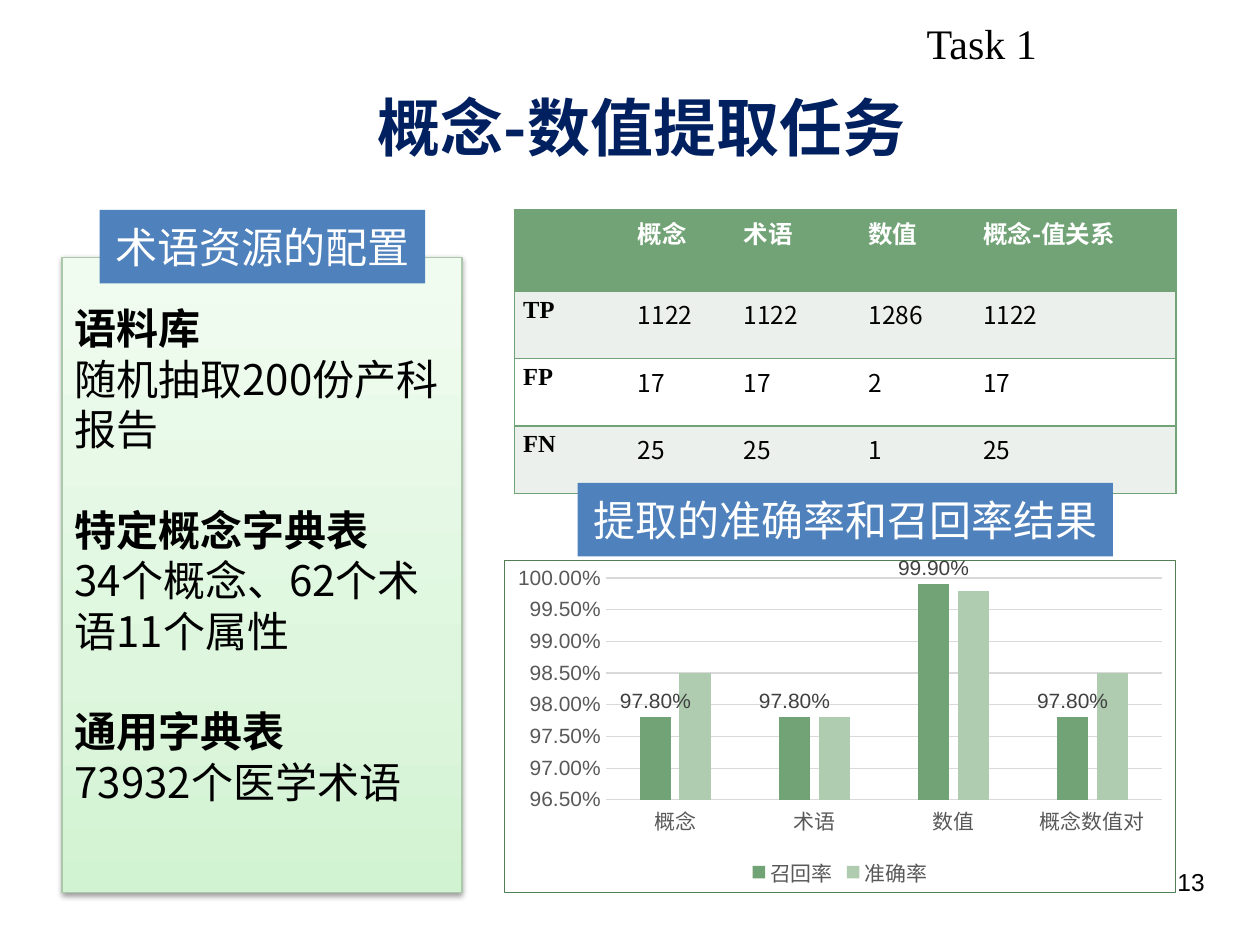
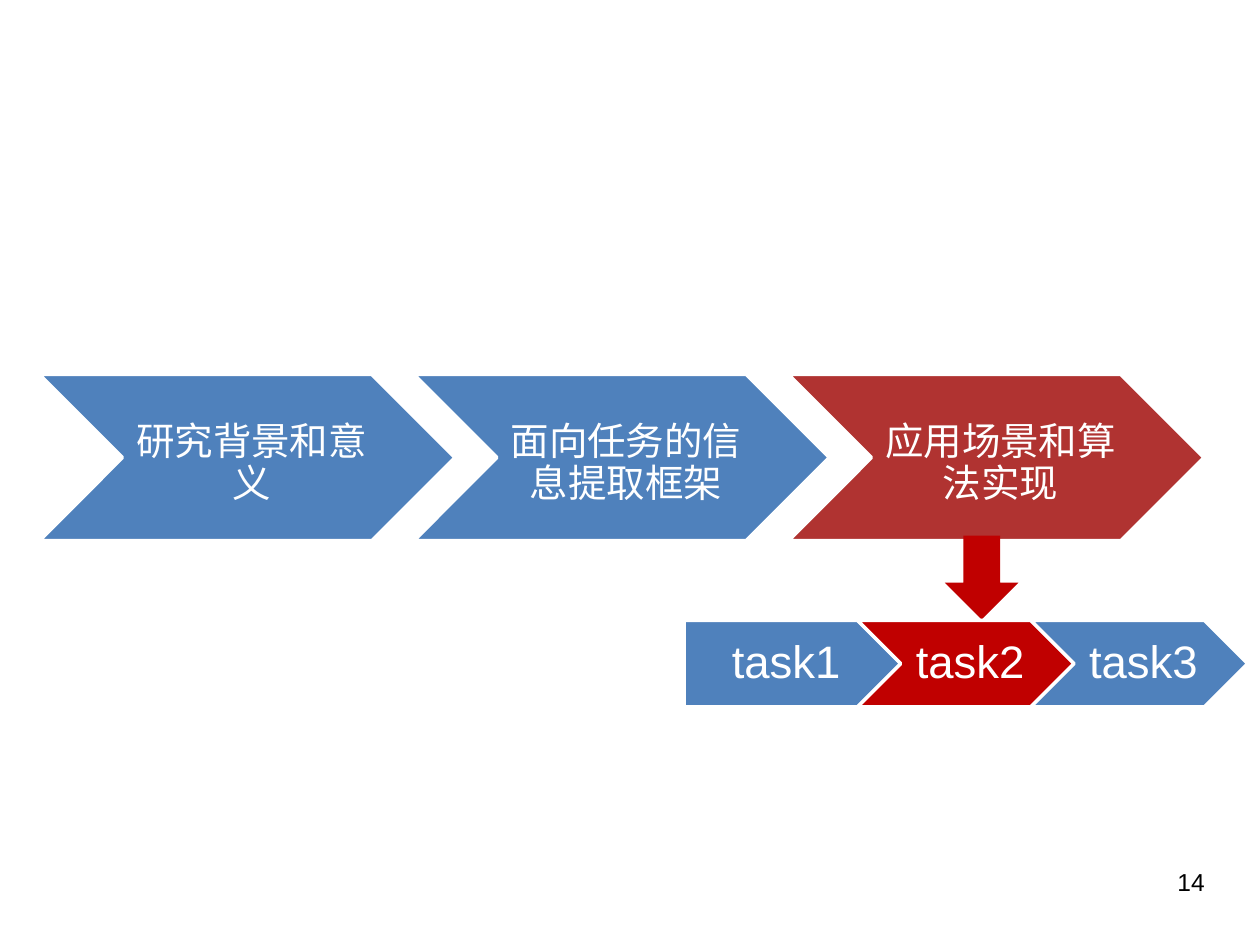
from copy import deepcopy
from dataclasses import dataclass
from typing import NamedTuple

from lxml import etree
from pptx import Presentation
from pptx.chart.data import CategoryChartData
from pptx.dml.color import RGBColor
from pptx.enum.chart import XL_CHART_TYPE, XL_LABEL_POSITION, XL_LEGEND_POSITION, XL_TICK_MARK
from pptx.enum.shapes import MSO_SHAPE
from pptx.enum.text import MSO_ANCHOR, PP_ALIGN
from pptx.oxml.ns import qn
from pptx.util import Pt

CHEVRON, HOME_PLATE = MSO_SHAPE.CHEVRON, MSO_SHAPE.PENTAGON
RECTANGLE, DOWN_ARROW = MSO_SHAPE.RECTANGLE, MSO_SHAPE.DOWN_ARROW
LEFT, CENTER, RIGHT = PP_ALIGN.LEFT, PP_ALIGN.CENTER, PP_ALIGN.RIGHT
TOP, MIDDLE = MSO_ANCHOR.TOP, MSO_ANCHOR.MIDDLE
CLUSTERED = XL_CHART_TYPE.COLUMN_CLUSTERED
LEGEND_BOTTOM = XL_LEGEND_POSITION.BOTTOM
LABEL_ABOVE = XL_LABEL_POSITION.OUTSIDE_END
NO_TICK = XL_TICK_MARK.NONE
TITLE_ONLY, BLANK = 5, 6


@dataclass(frozen=True)
class Theme:
    cjk: str = "Noto Sans CJK SC"
    sans: str = "Arial"
    serif: str = "Times New Roman"
    title: str = "002060"
    black: str = "000000"
    white: str = "FFFFFF"
    blue: str = "4F81BC"
    brick: str = "B03331"
    red: str = "C00000"
    green: str = "72A376"
    light_green: str = "B0CCB0"
    band: str = "EBF0EC"
    chart_border: str = "527E56"
    panel_line: str = "ABC8AB"
    panel_stops: tuple = ((0, "D1F3D1"), (0.35, "DEF6DE"), (1, "F1FCF1"))
    grid: str = "D9D9D9"
    axis_text: str = "595959"
    label_text: str = "404040"
    title_size: int = 36
    task_size: int = 26
    body_size: int = 24
    step_size: int = 22
    small_size: int = 14
    chart_size: int = 12


class Box(NamedTuple):
    left: float
    top: float
    width: float
    height: float

    def lengths(self):
        return [Pt(value) for value in self]


THEME = Theme()


def rgb(color):
    return RGBColor.from_string(color)


# Shared text and shape helpers
def add_run(paragraph, text, size, color=THEME.black, font=THEME.cjk, bold=False):
    run = paragraph.add_run()
    run.text = text
    run.font.size = Pt(size)
    run.font.bold = bold
    run.font.color.rgb = rgb(color)
    run.font.name = font
    east_asian = etree.SubElement(run.font._element, qn("a:ea"))
    east_asian.set("typeface", font)


def set_line(line, color, width):
    line.color.rgb = rgb(color)
    line.width = Pt(width)


def set_frame(frame, anchor, insets=(7.2, 3.6, 7.2, 3.6)):
    frame.word_wrap = True
    frame.vertical_anchor = anchor
    (frame.margin_left, frame.margin_top,
     frame.margin_right, frame.margin_bottom) = [Pt(inset) for inset in insets]


def add_block(slide, kind, box, color=None, outline=None):
    block = slide.shapes.add_shape(kind, *box.lengths())
    block.shadow.inherit = False
    if color:
        block.fill.solid()
        block.fill.fore_color.rgb = rgb(color)
    if outline:
        set_line(block.line, *outline)
    else:
        block.line.fill.background()
    return block


def add_note(slide, box, text, size, font, align=LEFT):
    frame = slide.shapes.add_textbox(*box.lengths()).text_frame
    set_frame(frame, TOP)
    frame.paragraphs[0].alignment = align
    add_run(frame.paragraphs[0], text, size, font=font)


def add_page_number(slide, number):
    add_note(slide, Box(515.5, 492, 180, 37), str(number), THEME.small_size, THEME.sans, RIGHT)


def add_title(slide, box, text):
    title = slide.shapes.title
    title.left, title.top, title.width, title.height = box.lengths()
    set_frame(title.text_frame, MIDDLE)
    title.text_frame.paragraphs[0].alignment = CENTER
    add_run(title.text_frame.paragraphs[0], text, THEME.title_size, THEME.title, bold=True)


def add_heading(slide, box, text):
    heading = add_block(slide, RECTANGLE, box, THEME.blue)
    set_frame(heading.text_frame, MIDDLE)
    heading.text_frame.paragraphs[0].alignment = CENTER
    add_run(heading.text_frame.paragraphs[0], text, THEME.body_size, THEME.white)


# Terminology resources panel
def add_resources(slide, box, resources):
    panel = add_block(slide, RECTANGLE, box, outline=(THEME.panel_line, 0.75))
    panel.fill.gradient()
    panel.fill.gradient_angle = 90
    properties = panel._element.spPr
    stop_list = properties.find(".//" + qn("a:gsLst"))
    stop_list.insert(1, deepcopy(stop_list[0]))
    for stop, (position, color) in zip(panel.fill.gradient_stops, THEME.panel_stops):
        stop.position = position
        stop.color.rgb = rgb(color)

    shadow = etree.SubElement(properties.find(qn("a:effectLst")), qn("a:outerShdw"),
                              blurRad=str(Pt(3.1)), dist=str(Pt(1.6)), dir="5400000",
                              rotWithShape="0")
    shade = etree.SubElement(shadow, qn("a:srgbClr"), val=THEME.black)
    etree.SubElement(shade, qn("a:alpha"), val="38000")

    frame = panel.text_frame
    set_frame(frame, TOP, (7.2, 26, 7.2, 3.6))
    line_height = Pt(THEME.body_size * 1.2)
    lines = [(text, part == 0) for resource in resources for part, text in enumerate(resource)]
    for index, (text, is_name) in enumerate(lines):
        paragraph = frame.add_paragraph() if index else frame.paragraphs[0]
        paragraph.alignment = LEFT
        paragraph.line_spacing = line_height
        if is_name and index:
            paragraph.space_before = line_height
        add_run(paragraph, text, THEME.body_size, bold=is_name)


# Table of extraction counts
def set_cell_borders(cell, first, last):
    properties = cell._tc.get_or_add_tcPr()
    for side, shown in (("L", first), ("R", last), ("T", True), ("B", True)):
        border = etree.SubElement(properties, qn(f"a:ln{side}"), w=str(Pt(1)))
        if shown:
            fill = etree.SubElement(border, qn("a:solidFill"))
            etree.SubElement(fill, qn("a:srgbClr"), val=THEME.green)
        else:
            etree.SubElement(border, qn("a:noFill"))


def add_counts(slide, box, rows, column_widths, row_heights):
    table = slide.shapes.add_table(len(rows), len(rows[0]), *box.lengths()).table
    for column, width in zip(table.columns, column_widths):
        column.width = Pt(width)
    for row, height in zip(table.rows, row_heights):
        row.height = Pt(height)
    for r, row in enumerate(rows):
        for c, text in enumerate(row):
            cell = table.cell(r, c)
            set_cell_borders(cell, c == 0, c == len(row) - 1)
            cell.fill.solid()
            cell.fill.fore_color.rgb = rgb(
                THEME.green if r == 0 else THEME.band if r % 2 else THEME.white)
            cell.margin_left = cell.margin_right = Pt(5)
            cell.margin_top = cell.margin_bottom = Pt(2.9)
            if text:
                add_run(cell.text_frame.paragraphs[0], text, THEME.small_size,
                        THEME.black if r else THEME.white,
                        THEME.cjk if c else THEME.serif, bold=r == 0 or c == 0)


# Chart of recall and precision
def style_font(font, color):
    font.size = Pt(THEME.chart_size)
    font.name = THEME.sans
    font.color.rgb = rgb(color)


def add_rates(slide, box, categories, rates):
    data = CategoryChartData(number_format="0.00%")
    data.categories = categories
    for name, values in rates.items():
        data.add_series(name, values)
    chart = slide.shapes.add_chart(CLUSTERED, *box.lengths(), data).chart
    style_font(chart.font, THEME.axis_text)
    chart.has_title = False
    chart.has_legend = True
    chart.legend.position = LEGEND_BOTTOM
    chart.legend.include_in_layout = False
    style_font(chart.legend.font, THEME.axis_text)

    for axis in (chart.category_axis, chart.value_axis):
        axis.major_tick_mark = axis.minor_tick_mark = NO_TICK
        style_font(axis.tick_labels.font, THEME.axis_text)
    set_line(chart.category_axis.format.line, THEME.grid, 0.75)
    scale = chart.value_axis
    scale.minimum_scale, scale.maximum_scale, scale.major_unit = 0.965, 1, 0.005
    scale.format.line.fill.background()
    set_line(scale.major_gridlines.format.line, THEME.grid, 0.75)
    scale.tick_labels.number_format = "0.00%"
    scale.tick_labels.number_format_is_linked = False

    plot = chart.plots[0]
    plot.gap_width, plot.overlap, plot.vary_by_categories = 219, -27, False
    for series, color in zip(plot.series, (THEME.green, THEME.light_green)):
        series.format.fill.solid()
        series.format.fill.fore_color.rgb = rgb(color)
    labels = plot.series[0].data_labels
    labels.show_value = True
    labels.position = LABEL_ABOVE
    labels.number_format = "0.00%"
    labels.number_format_is_linked = False
    style_font(labels.font, THEME.label_text)

    # Frame around the chart
    frame = etree.Element(qn("c:spPr"))
    etree.SubElement(frame, qn("a:noFill"))
    border = etree.SubElement(frame, qn("a:ln"), w=str(Pt(0.75)))
    fill = etree.SubElement(border, qn("a:solidFill"))
    etree.SubElement(fill, qn("a:srgbClr"), val=THEME.chart_border)
    chart._chartSpace.find(qn("c:chart")).addnext(frame)


# Row of process arrows
def add_process(slide, first_box, pitch, steps, size, font, insets, spacing):
    for index, (text, kind, color) in enumerate(steps):
        box = first_box._replace(left=first_box.left + index * pitch)
        step = add_block(slide, kind, box, color, (THEME.white, 2))
        set_frame(step.text_frame, MIDDLE, insets)
        paragraph = step.text_frame.paragraphs[0]
        paragraph.alignment = CENTER
        paragraph.line_spacing = spacing
        add_run(paragraph, text, size, THEME.white, font)


def build_extraction_slide(deck):
    slide = deck.slides.add_slide(deck.slide_layouts[TITLE_ONLY])
    add_title(slide, Box(24, 47, 685, 50), "概念-数值提取任务")
    add_page_number(slide, 13)
    add_counts(slide, Box(294, 120, 378, 162), [
        ("", "概念", "术语", "数值", "概念-值关系"),
        ("TP", "1122", "1122", "1286", "1122"),
        ("FP", "17", "17", "2", "17"),
        ("FN", "25", "25", "1", "25"),
    ], (65.5, 60.5, 71.3, 65.5, 115.2), (46.5, 38.5, 38.5, 38.5))
    add_resources(slide, Box(35.5, 147, 228.5, 363), [
        ("语料库", "随机抽取200份产科报告"),
        ("特定概念字典表", "34个概念、62个术语11个属性"),
        ("通用字典表", "73932个医学术语"),
    ])
    add_rates(slide, Box(288, 318.5, 384, 192), ("概念", "术语", "数值", "概念数值对"), {
        "召回率": (0.978, 0.978, 0.999, 0.978),
        "准确率": (0.985, 0.978, 0.998, 0.985),
    })
    add_heading(slide, Box(57, 120, 186, 42), "术语资源的配置")
    add_heading(slide, Box(330, 276, 306, 42), "提取的准确率和召回率结果")
    add_note(slide, Box(522.5, 6.5, 138, 36), "Task 1", THEME.body_size, THEME.serif)


def build_progress_slide(deck):
    slide = deck.slides.add_slide(deck.slide_layouts[BLANK])
    add_page_number(slide, 14)
    add_process(slide, Box(22.5, 214, 237.5, 95), 214, [
        ("研究背景和意义", CHEVRON, THEME.blue),
        ("面向任务的信息提取框架", CHEVRON, THEME.blue),
        ("应用场景和算法实现", CHEVRON, THEME.brick),
    ], THEME.step_size, THEME.cjk, (7, 8, 2, 2), Pt(24))
    add_block(slide, DOWN_ARROW, Box(540, 306, 42, 48), THEME.red)
    add_process(slide, Box(391, 354.5, 124, 49.5), 99, [
        ("task1", HOME_PLATE, THEME.blue),
        ("task2", CHEVRON, THEME.red),
        ("task3", CHEVRON, THEME.blue),
    ], THEME.task_size, THEME.sans, (8, 6, 3, 6), 0.9)


def main():
    deck = Presentation()
    deck.slide_width, deck.slide_height = Pt(720), Pt(540)
    build_extraction_slide(deck)
    build_progress_slide(deck)
    deck.save("out.pptx")


if __name__ == "__main__":
    main()
